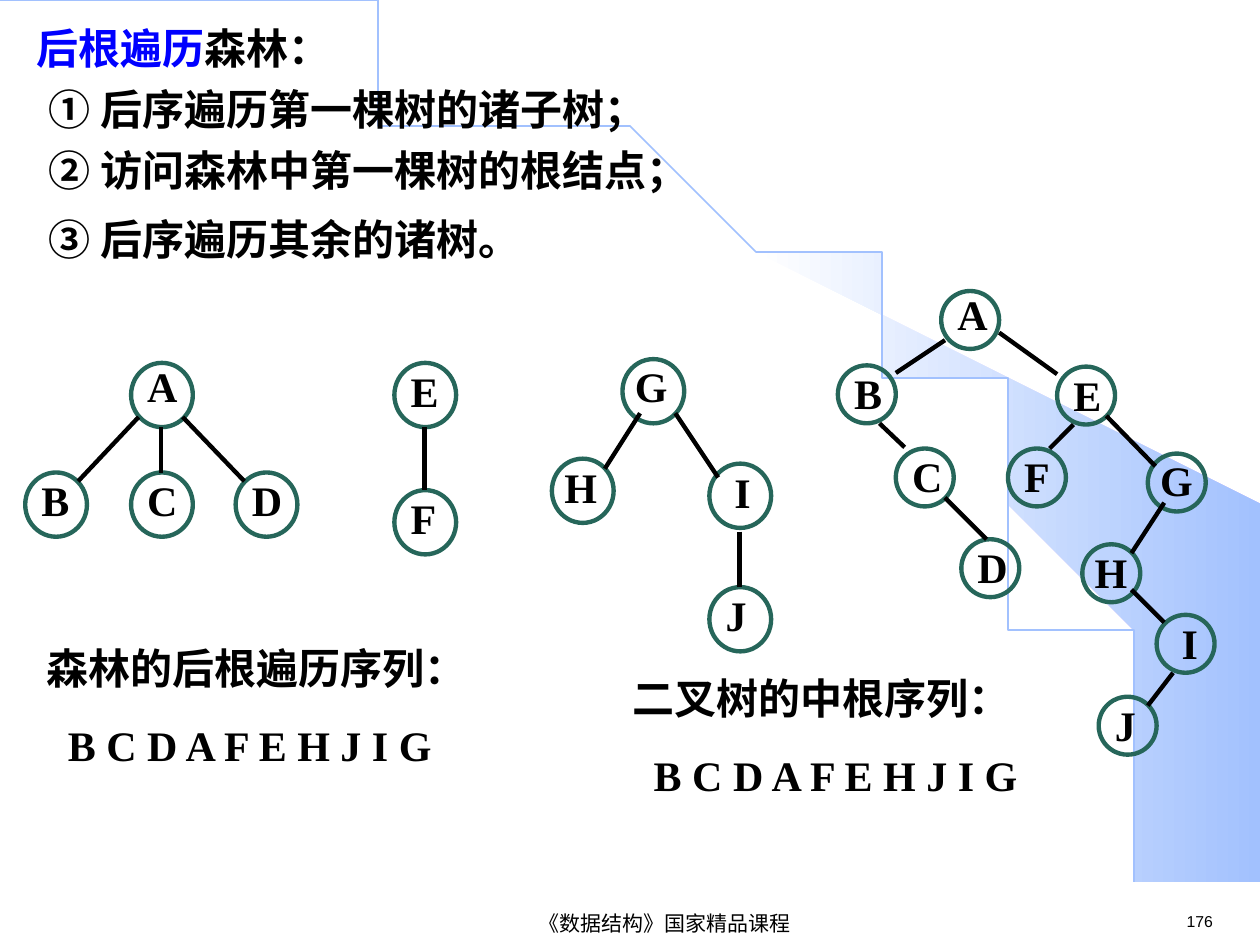
from pptx import Presentation
from pptx.dml.color import RGBColor
from pptx.enum.shapes import MSO_CONNECTOR, MSO_SHAPE
from pptx.enum.text import MSO_ANCHOR, PP_ALIGN
from pptx.oxml.ns import qn
from pptx.util import Inches, Pt
from lxml import etree

OVAL, STRAIGHT = MSO_SHAPE.OVAL, MSO_CONNECTOR.STRAIGHT
TOP, MIDDLE = MSO_ANCHOR.TOP, MSO_ANCHOR.MIDDLE
LEFT, CENTER = PP_ALIGN.LEFT, PP_ALIGN.CENTER
BLACK = RGBColor(0x00, 0x00, 0x00)
BLUE = RGBColor(0x00, 0x00, 0xFF)
GREEN = RGBColor(0x26, 0x66, 0x5A)
SKY = RGBColor(0xA2, 0xC1, 0xFE)
WHITE = RGBColor(0xFF, 0xFF, 0xFF)

SERIF, SANS, CJK = "Times New Roman", "Arial", "Noto Sans CJK SC"
BODY = {"name": SERIF, "size": Pt(24), "bold": True}
HEADING = {**BODY, "name": CJK}
FOOTER = {"name": SANS, "size": Pt(12), "bold": False}
PAGE = {**FOOTER, "size": Pt(9)}

# Label shift inside a node: (right, down)
LABEL_SHIFT = {"G": (0, -0.04), "H": (0, -0.07), "I": (0.1, -0.07)}
SINGLE_SPACED = "AG"

# Nodes and edges are relative to the top left of their region
FOREST_NODES = {
    "A": (0.84, 0.03), "B": (0, 0.9), "C": (0.84, 0.9), "D": (1.67, 0.9),
    "E": (2.93, 0.03), "F": (2.93, 1.04),
    "G": (4.74, 0), "H": (4.18, 0.79), "I": (5.43, 0.83), "J": (5.43, 1.81),
}
FOREST_EDGES = [
    (1.08, 0.54, 1.08, 0.9), (0.9, 0.46, 0.42, 0.97), (1.25, 0.46, 1.74, 0.97),
    (3.17, 0.54, 3.17, 1.04),
    (4.88, 0.43, 4.6, 0.87), (5.16, 0.43, 5.5, 0.94), (5.67, 1.37, 5.67, 1.81),
]
BINARY_NODES = {
    "A": (0.82, 0), "B": (0, 0.59), "C": (0.46, 1.25), "D": (0.98, 1.97),
    "E": (1.74, 0.6), "F": (1.35, 1.25), "G": (2.46, 1.29),
    "H": (1.94, 2.01), "I": (2.53, 2.57), "J": (2.07, 3.22),
}
BINARY_EDGES = [
    (0.85, 0.39, 0.46, 0.65), (0.33, 1.05, 0.53, 1.24), (0.85, 1.64, 1.18, 1.97),
    (1.28, 0.33, 1.74, 0.66), (1.87, 1.06, 1.68, 1.25), (2.13, 0.99, 2.52, 1.39),
    (2.59, 1.68, 2.33, 2.08), (2.33, 2.37, 2.59, 2.63), (2.66, 3.03, 2.46, 3.29),
]
SWEEP = [
    (9.2, 7.48), (9.99, 7.49), (9.99, 4.23), (5.89, 1.73), (6.24, 1.99),
    (6.53, 2.22), (6.85, 2.5), (7.16, 2.8), (7.62, 3.3), (8.03, 3.84),
    (8.32, 4.31), (8.58, 4.79), (8.78, 5.28), (8.93, 5.72), (9.03, 6.09),
    (9.13, 6.56), (9.17, 6.96),
]


def add_run(p, text, style, color=BLACK):
    r = p.add_run()
    r.text = text
    for name, value in style.items():
        setattr(r.font, name, value)
    r.font.color.rgb = color


def add_box(s, x, y, w, h, wrap=True, anchor=TOP):
    tf = s.shapes.add_textbox(Inches(x), Inches(y), Inches(w), Inches(h)).text_frame
    tf.word_wrap = wrap
    tf.vertical_anchor = anchor
    return tf


def next_paragraph(tf, before, indent):
    p = tf.add_paragraph()
    p.space_before = Pt(before)
    p._p.get_or_add_pPr().set("marL", str(Inches(indent)))
    return p


def add_polygon(s, points, close):
    builder = s.shapes.build_freeform(*points[0], scale=Inches(1))
    builder.add_line_segments(points[1:], close=close)
    shape = builder.convert_to_shape()
    shape.shadow.inherit = False
    return shape


def add_background(s, w, h):
    # Gradient sweep on the right
    sweep = add_polygon(s, SWEEP, True)
    sweep.line.fill.background()
    sweep.fill.gradient()
    sweep.fill.gradient_angle = 0
    for stop, position, color in zip(sweep.fill.gradient_stops, (0, 1), (WHITE, SKY)):
        stop.position = position
        stop.color.rgb = color
    # Cubic curve from the top left corner to the bottom
    cx, cy, steps = 5.08, 3.35, 80
    arc = []
    for i in range(steps + 1):
        t = i / steps
        u = 1 - t
        arc.append((3 * u * u * t * cx + (3 * u * t * t + t ** 3) * w,
                    3 * u * t * t * cy + t ** 3 * h))
    curve = add_polygon(s, arc, False)
    curve.fill.background()
    curve.line.color.rgb = SKY
    curve.line.width = Pt(1)


def add_footer(s, x, y):
    p = add_box(s, x, y, 5.75, 0.24, False, MIDDLE).paragraphs[0]
    p.alignment = CENTER
    add_run(p, "《数据结构》国家精品课程", FOOTER)
    p = add_box(s, x + 6.92, y - 0.02, 0.77, 0.25, False).paragraphs[0]
    p.alignment = LEFT
    add_run(p, "176", PAGE)


def add_rules(s, x, y, w, h):
    tf = add_box(s, x, y, w, h)
    p = tf.paragraphs[0]
    p._p.get_or_add_pPr().set("marL", str(Inches(0.07)))
    add_run(p, "后根遍历", HEADING, BLUE)
    add_run(p, "森林：", HEADING)
    for text, before in (("① 后序遍历第一棵树的诸子树；", 6),
                         ("② 访问森林中第一棵树的根结点；", 6),
                         ("③ 后序遍历其余的诸树。", 10.5)):
        add_run(next_paragraph(tf, before, 0.17), text, BODY)


def add_sequence(s, x, y, w, h, title):
    tf = add_box(s, x, y, w, h)
    add_run(tf.paragraphs[0], title, BODY)
    add_run(next_paragraph(tf, 15, 0.17), "B C D A F E H J I G", BODY)


def add_trees(s, x, y, node_w, node_h, nodes, edges):
    for name, (dx, dy) in nodes.items():
        left, top = x + dx, y + dy
        node = s.shapes.add_shape(OVAL, Inches(left), Inches(top),
                                  Inches(node_w), Inches(node_h))
        node.shadow.inherit = False
        node.fill.background()
        node.line.color.rgb = GREEN
        node.line.width = Pt(2.5)
        right, down = LABEL_SHIFT.get(name, (0.03, -0.07))
        p = add_box(s, left + right, top + down, node_w, 0.54).paragraphs[0]
        p.line_spacing = 1.0 if name in SINGLE_SPACED else 1.1
        add_run(p, name, BODY)
    for x1, y1, x2, y2 in edges:
        edge = s.shapes.add_connector(STRAIGHT, Inches(x + x1), Inches(y + y1),
                                      Inches(x + x2), Inches(y + y2))
        edge.line.color.rgb = BLACK
        edge.line.width = Pt(2.5)
        etree.SubElement(edge._element.spPr, qn("a:effectLst"))


def main():
    prs = Presentation()
    prs.slide_width, prs.slide_height = Inches(10), Inches(7.5)
    s = prs.slides.add_slide(prs.slide_layouts[6])
    add_background(s, 9.2, 7.49)
    add_footer(s, 2.4, 7.21)
    add_rules(s, 0.12, 0.13, 9.88, 2.2)
    add_sequence(s, 0.27, 5.05, 4.49, 1.11, "森林的后根遍历序列：")
    add_trees(s, 6.65, 2.31, 0.46, 0.46, BINARY_NODES, BINARY_EDGES)
    add_trees(s, 0.2, 2.85, 0.49, 0.51, FOREST_NODES, FOREST_EDGES)
    add_sequence(s, 4.92, 5.29, 3.74, 1.11, "二叉树的中根序列：")
    prs.save("out.pptx")


if __name__ == "__main__":
    main()
